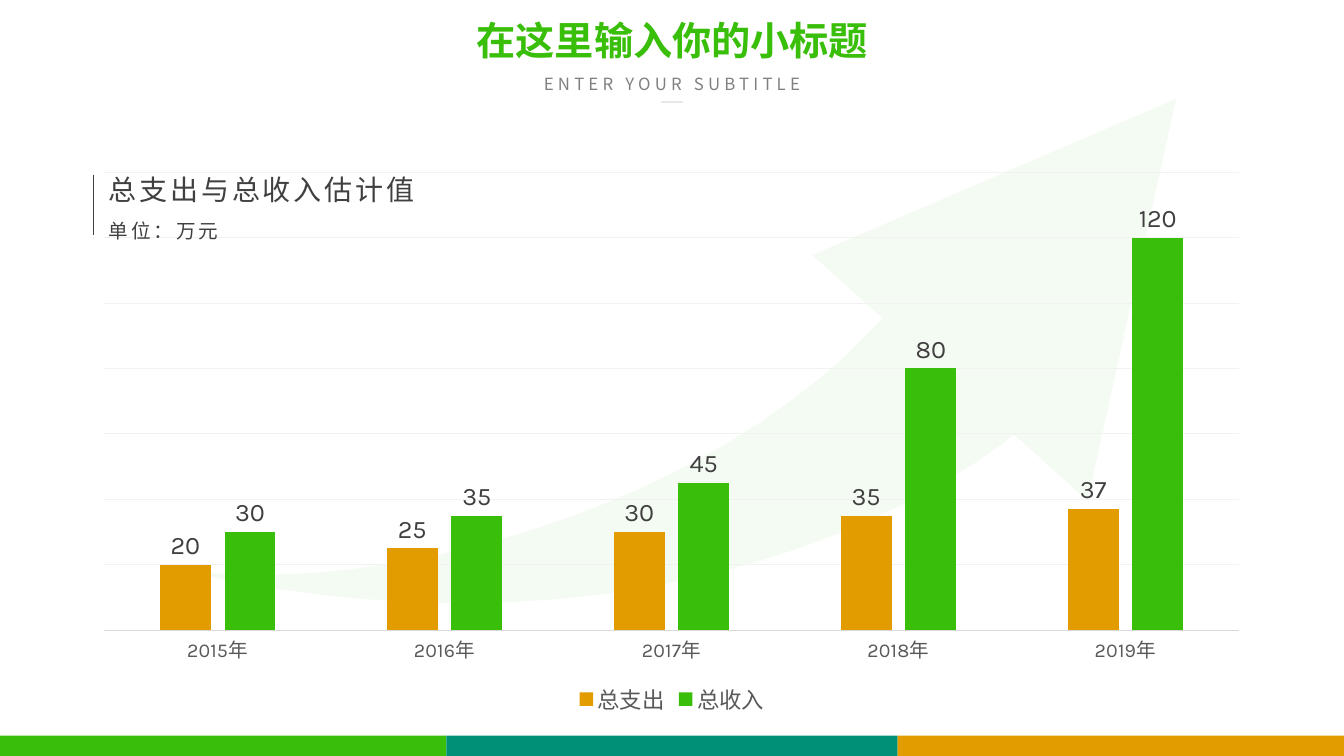
import pptx
import pptx.chart.data
import pptx.dml.color
import pptx.enum.chart
import pptx.enum.shapes
import pptx.enum.text
import pptx.oxml
import pptx.oxml.ns
import pptx.util

Cm, Pt = pptx.util.Cm, pptx.util.Pt
RGB = pptx.dml.color.RGBColor.from_string
qn = pptx.oxml.ns.qn
ALIGN = pptx.enum.text.PP_ALIGN

COLORS = {
    "green": "39BE0A", "teal": "008F77", "amber": "E29C00",
    "dark": "404040", "label": "595959", "gray": "808080",
    "axis": "D9D9D9", "grid": "F2F2F2",
}
LATIN, CJK = "Karla", "Noto Sans CJK SC"


def write(frame, text, size, font, color, align, spacing=0):
    """Fill the first paragraph of a frame with one formatted run."""
    frame.word_wrap = True
    paragraph = frame.paragraphs[0]
    paragraph.alignment = align
    run = paragraph.add_run()
    run.text = text
    run.font.size, run.font.name = Pt(size), font
    run.font.color.rgb = RGB(COLORS[color])
    props = run._r.get_or_add_rPr()
    props.set("spc", str(spacing * 100))
    props.find(qn("a:latin")).addnext(props.makeelement(qn("a:ea"), {"typeface": CJK}))
    return run


def fade(shape, percent):
    """Make the shape's only colour partly transparent."""
    color = next(shape._element.spPr.iter(qn("a:srgbClr")))
    alpha = color.makeelement(qn("a:alpha"), {"val": str(percent * 1000)})
    color.append(alpha)


deck = pptx.Presentation()
deck.slide_width, deck.slide_height = Cm(33.87), Cm(19.05)
slide = deck.slides.add_slide(deck.slide_layouts[5])
shapes = slide.shapes

# Title
title = shapes.title
title.left, title.top, title.width, title.height = Cm(10.95), Cm(0.4), Cm(11.99), Cm(1.35)
title.text_frame.vertical_anchor = pptx.enum.text.MSO_ANCHOR.MIDDLE
heading = write(title.text_frame, "在这里输入你的小标题", 28, CJK, "green", ALIGN.CENTER)
heading.font.bold = True
title.text_frame.paragraphs[0].line_spacing = 0.9

# Subtitle and chart captions
captions = [
    ("ENTER YOUR SUBTITLE", 11.25, 1.73, 11.38, 0.77, 12, CJK, "gray", ALIGN.CENTER, 3),
    ("总支出与总收入估计值", 2.49, 4.22, 13.08, 1.11, 20, LATIN, "dark", ALIGN.LEFT, 2),
    ("单位：万元", 2.49, 5.38, 13.08, 0.86, 14, LATIN, "dark", ALIGN.LEFT, 2),
]

# Growth arrow: each step is one line end or three Bezier points, in cm
arrow_steps = [
    [(27.41, 12.62)],
    [(25.55, 10.95)],
    [(25.27, 11.18)],
    [(21.49, 13.97), (13.97, 16.69), (4.06, 14.25)],
    [(7.8, 15.09), (16.03, 13.77), (21.31, 8.97)],
    [(22.25, 8.03)],
    [(20.47, 6.43)],
]
arrow_tip = (29.64, 2.49)
outline = []
here = arrow_tip
for step in arrow_steps:
    if len(step) == 3:
        for i in range(1, 40):
            t = i / 40
            weights = ((1 - t) ** 3, 3 * t * (1 - t) ** 2, 3 * t * t * (1 - t), t ** 3)
            curve = [here] + step
            outline.append(tuple(sum(w * p[axis] for w, p in zip(weights, curve))
                                 for axis in (0, 1)))
    here = step[-1]
    outline.append(here)
builder = shapes.build_freeform(Cm(arrow_tip[0]), Cm(arrow_tip[1]))
builder.add_line_segments([(Cm(x), Cm(y)) for x, y in outline], close=True)
growth_arrow = builder.convert_to_shape()
growth_arrow.shadow.inherit = False
growth_arrow.fill.solid()
growth_arrow.fill.fore_color.rgb = RGB(COLORS["green"])
growth_arrow.line.fill.background()
fade(growth_arrow, 5)

# Column chart
figures = pptx.chart.data.CategoryChartData()
figures.categories = [f"{year}年" for year in range(2015, 2020)]
figures.add_series("总支出", (20, 25, 30, 35, 37))
figures.add_series("总收入", (30, 35, 45, 80, 120))
chart = shapes.add_chart(
    pptx.enum.chart.XL_CHART_TYPE.COLUMN_CLUSTERED,
    Cm(2.03), Cm(4.06), Cm(29.79), Cm(14.07), figures).chart
chart.has_title = False
chart.font.size, chart.font.name = Pt(10), LATIN

years = chart.category_axis
years.major_tick_mark = pptx.enum.chart.XL_TICK_MARK.NONE
years.format.line.color.rgb = RGB(COLORS["axis"])
years.format.line.width = Pt(0.75)

amounts = chart.value_axis
amounts.minimum_scale, amounts.maximum_scale, amounts.major_unit = 0, 140, 20
amounts.visible = False
amounts.major_gridlines.format.line.color.rgb = RGB(COLORS["grid"])
amounts.major_gridlines.format.line.width = Pt(0.75)

chart.has_legend = True
chart.legend.position = pptx.enum.chart.XL_LEGEND_POSITION.BOTTOM
chart.legend.include_in_layout = False
fonts = [(years.tick_labels.font, 14, "label"), (chart.legend.font, 16, "label")]

columns = chart.plots[0]
columns.gap_width, columns.overlap, columns.vary_by_categories = 219, -27, False
for series, color in zip(columns.series, ("amber", "green")):
    series.format.fill.solid()
    series.format.fill.fore_color.rgb = RGB(COLORS[color])
    series.data_labels.show_value = True
    series.data_labels.position = pptx.enum.chart.XL_LABEL_POSITION.OUTSIDE_END
    fonts.append((series.data_labels.font, 18, "dark"))
for font, size, color in fonts:
    font.size, font.name = Pt(size), LATIN
    font.color.rgb = RGB(COLORS[color])
for latin in list(chart._chartSpace.iter(qn("a:latin"))):
    latin.addnext(latin.makeelement(qn("a:ea"), {"typeface": CJK}))

# Fixed plot area inside the chart frame
plot_area = chart._chartSpace.chart.plotArea
for old_layout in plot_area.findall(qn("c:layout")):
    plot_area.remove(old_layout)
plot_area.insert(0, pptx.oxml.parse_xml(
    '<c:layout xmlns:c="http://schemas.openxmlformats.org/drawingml/2006/chart">'
    '<c:manualLayout><c:layoutTarget val="inner"/>'
    '<c:xMode val="edge"/><c:yMode val="edge"/>'
    '<c:x val="0.02"/><c:y val="0.02"/><c:w val="0.96"/><c:h val="0.82"/>'
    '</c:manualLayout></c:layout>'))

for text, left, top, width, height, size, font, color, align, spacing in captions:
    caption = shapes.add_textbox(Cm(left), Cm(top), Cm(width), Cm(height))
    write(caption.text_frame, text, size, font, color, align, spacing)

# Thin rules: under the subtitle and beside the captions
for x1, y1, x2, y2, color, opacity in [
    (16.66, 2.57, 17.2, 2.57, "gray", 50),
    (2.36, 4.4, 2.36, 5.92, "dark", 100),
]:
    rule = shapes.add_connector(pptx.enum.shapes.MSO_CONNECTOR.STRAIGHT,
                                Cm(x1), Cm(y1), Cm(x2), Cm(y2))
    rule.line.color.rgb = RGB(COLORS[color])
    rule.line.width = Pt(0.5)
    fade(rule, opacity)
    effects = rule._element.spPr
    effects.append(effects.makeelement(qn("a:effectLst"), {}))

# Footer bands
band_left = 0
for band_width, color in [(11.25, "green"), (11.37, "teal"), (11.25, "amber")]:
    band = shapes.add_shape(pptx.enum.shapes.MSO_SHAPE.RECTANGLE,
                            Cm(band_left), Cm(18.54), Cm(band_width), Cm(0.51))
    band.shadow.inherit = False
    band.fill.solid()
    band.fill.fore_color.rgb = RGB(COLORS[color])
    band.line.fill.background()
    band_left += band_width

deck.save("out.pptx")
